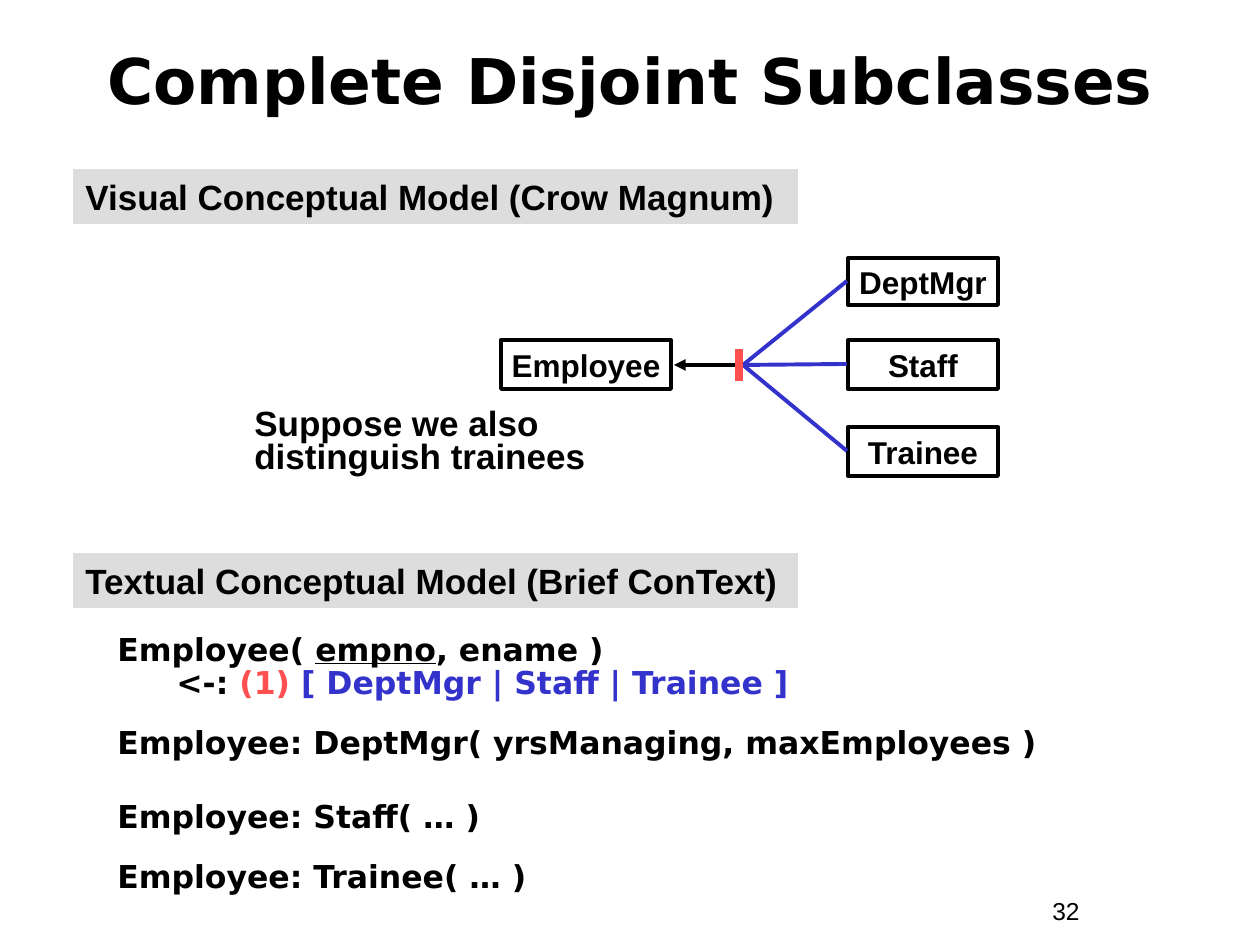
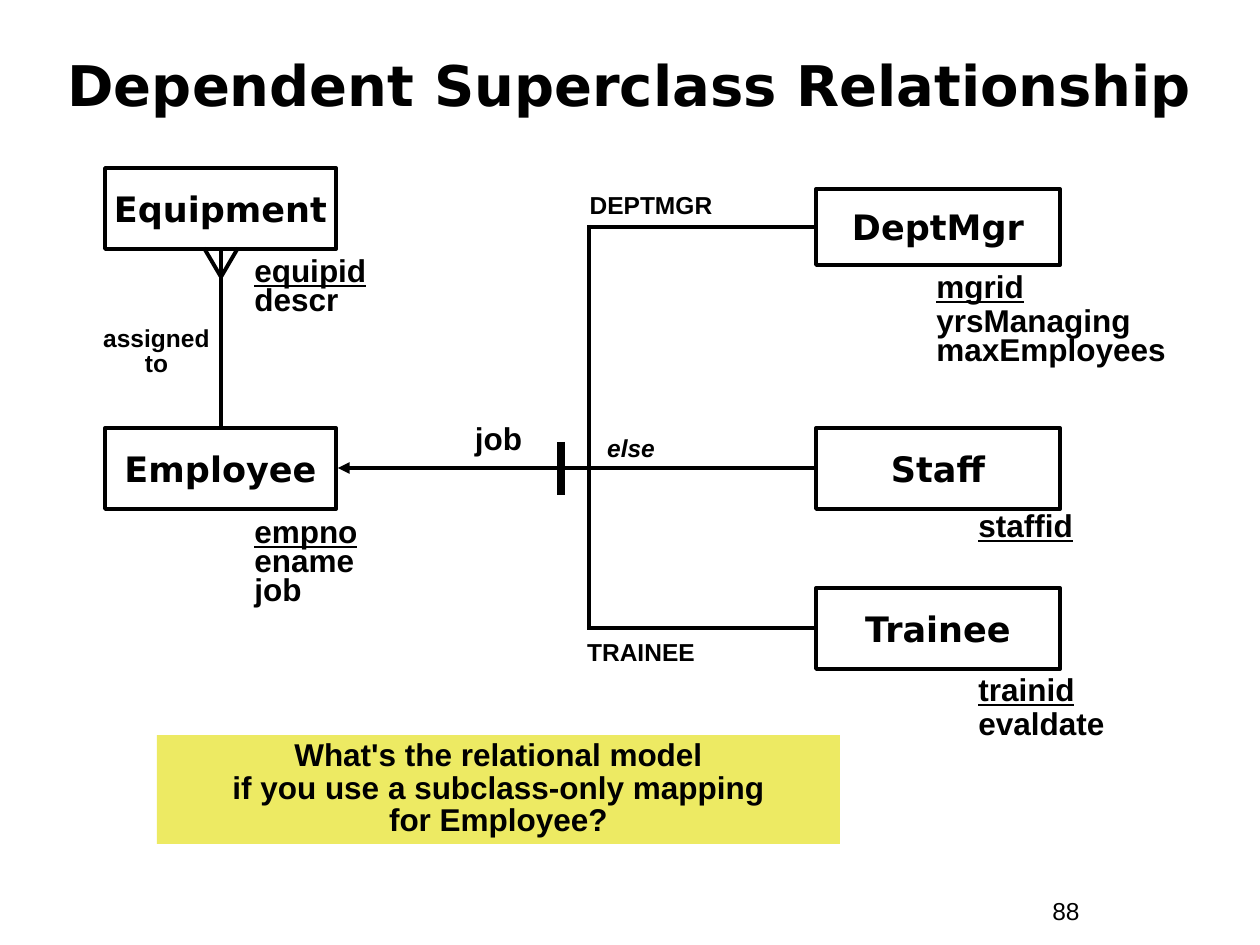
from lxml import etree
from pptx import Presentation
from pptx import util as u
from pptx.dml.color import RGBColor
from pptx.enum import shapes, text
from pptx.oxml.ns import qn

PX = 914400 / 126
BLACK = RGBColor(0x00, 0x00, 0x00)
BLUE = RGBColor(0x33, 0x33, 0xCC)
RED = RGBColor(0xFF, 0x50, 0x50)
GREY = RGBColor(0xDD, 0xDD, 0xDD)
YELLOW = RGBColor(0xED, 0xEA, 0x63)
SANS = "Arial"
WIDE = "DejaVu Sans"
LEFT, CENTER = text.PP_ALIGN.LEFT, text.PP_ALIGN.CENTER
TOP, MIDDLE = text.MSO_ANCHOR.TOP, text.MSO_ANCHOR.MIDDLE


def px(n):
    return u.Emu(round(n * PX))


def style(r, size, font=SANS, color=BLACK, bold=True):
    r.font.size = u.Pt(size)
    r.font.name = font
    r.font.bold = bold
    r.font.color.rgb = color


def write(sp, lines, size, font=SANS, align=LEFT, anchor=TOP, spacing=1.0,
          wrap=True, bold=True):
    tf = sp.text_frame
    tf.word_wrap = wrap
    tf.vertical_anchor = anchor
    tf.text = "\n".join(lines)
    for p in tf.paragraphs:
        p.alignment = align
        p.line_spacing = spacing
        for r in p.runs:
            style(r, size, font, bold=bold)
    return tf


def label(s, box, lines, size, **look):
    sp = s.shapes.add_textbox(*map(px, box))
    return write(sp, lines, size, **look)


def rect(s, box, fill=None):
    sp = s.shapes.add_shape(shapes.MSO_SHAPE.RECTANGLE, *map(px, box))
    sp.shadow.inherit = False
    if fill is None:
        sp.fill.background()
        sp.line.color.rgb = BLACK
        sp.line.width = u.Pt(2.25)
    else:
        sp.fill.solid()
        sp.fill.fore_color.rgb = fill
        sp.line.fill.background()
    return sp


def entity(s, box, name, size, font):
    write(rect(s, box), [name], size, font, CENTER, MIDDLE, wrap=False)


def band(s, y, caption):
    write(rect(s, (73, y, 725, 55), GREY), [caption], 20)


def line(s, x1, y1, x2, y2, color=BLACK, width=2.25, arrow=False):
    c = s.shapes.add_connector(shapes.MSO_CONNECTOR.STRAIGHT,
                               *map(px, (x1, y1, x2, y2)))
    c.line.color.rgb = color
    c.line.width = u.Pt(width)
    if arrow:
        etree.SubElement(c.line._get_or_add_ln(), qn("a:headEnd"), type="triangle")
    etree.SubElement(c._element.spPr, qn("a:effectLst"))


def attributes(s, box, names, spacings):
    tf = label(s, box, names, 18)
    for p, spacing in zip(tf.paragraphs, spacings):
        p.line_spacing = spacing
    tf.paragraphs[0].runs[0].font.underline = True


def new_slide(prs, title, top, size, number):
    s = prs.slides.add_slide(prs.slide_layouts[6])
    label(s, (42, top, 1176, 137 - top), [title], size, font=WIDE,
          align=CENTER, anchor=MIDDLE)
    label(s, (1040, 890, 116, 43), [number], 14, bold=False)
    return s


def textual_model(s):
    rows = [
        (0, 0, [("Employee( ", BLACK), ("empno", BLACK), (", ename )", BLACK)]),
        (0, 59, [("<-: ", BLACK), ("(1) ", RED),
                 ("[ DeptMgr | Staff | Trainee ]", BLUE)]),
        (16, 0, [("Employee: DeptMgr( yrsManaging, maxEmployees )", BLACK)]),
        (24, 0, [("Employee: Staff( … )", BLACK)]),
        (16, 0, [("Employee: Trainee( … )", BLACK)]),
    ]
    tf = label(s, (105, 630, 1008, 284), [""] * len(rows), 18, spacing=0.85)
    for p, (before, indent, parts) in zip(tf.paragraphs, rows):
        p.space_before = u.Pt(before)
        p._p.get_or_add_pPr().set("marL", str(px(indent)))
        for words, color in parts:
            r = p.add_run()
            r.text = words
            style(r, 18, WIDE, color)
    tf.paragraphs[0].runs[1].font.underline = True


def disjoint_subclasses(prs):
    s = new_slide(prs, "Complete Disjoint Subclasses", 21, 36, "32")
    entity(s, (501, 340, 170, 49), "Employee", 18, SANS)
    line(s, 674, 365, 743, 365, arrow=True)
    for name, y, h in (("DeptMgr", 258, 47), ("Staff", 340, 49), ("Trainee", 427, 49)):
        entity(s, (848, y, 150, h), name, 18, SANS)
        line(s, 743, 365, 847, y + h // 2, BLUE)
    line(s, 739, 349, 739, 381, RED, 4.5)
    textual_model(s)
    label(s, (242, 403, 388, 81), ["Suppose we also distinguish trainees"], 20,
          spacing=0.8)
    band(s, 169, "Visual Conceptual Model (Crow Magnum)")
    band(s, 553, "Textual Conceptual Model (Brief ConText)")


def dependent_superclass(prs):
    s = new_slide(prs, "Dependent Superclass Relationship", 32, 32, "88")
    for name, y in (("Equipment", 168), ("Employee", 428)):
        entity(s, (105, y, 231, 81), name, 20, WIDE)
    for name, y, h, branch in (("DeptMgr", 189, 76, 227), ("Staff", 428, 81, 468),
                               ("Trainee", 588, 81, 628)):
        entity(s, (816, y, 244, h), name, 20, WIDE)
        line(s, 589, branch, 814, branch)
    line(s, 589, 225, 589, 630)
    line(s, 338, 468, 589, 468, arrow=True)
    line(s, 561, 442, 561, 495, width=4.5)

    line(s, 221, 249, 221, 426)
    for x in (204, 238):
        line(s, 221, 277, x, 248)

    attributes(s, (242, 249, 179, 76), ["equipid", "descr"], [0.9, 0.75])
    attributes(s, (242, 510, 136, 103), ["empno", "ename", "job"], [0.9, 0.75, 0.75])
    attributes(s, (924, 265, 273, 110), ["mgrid", "yrsManaging", "maxEmployees"],
               [0.9, 0.9, 0.75])
    attributes(s, (966, 504, 189, 47), ["staffid"], [0.9])
    attributes(s, (966, 668, 189, 81), ["trainid", "evaldate"], [0.9, 0.9])

    label(s, (451, 420, 95, 43), ["job"], 18, align=CENTER, spacing=0.8)
    label(s, (83, 321, 147, 63), ["assigned", "to"], 14, align=CENTER, spacing=0.85)
    for name, x, y in (("DEPTMGR", 567, 189), ("TRAINEE", 557, 636), ("else", 547, 432)):
        tf = label(s, (x, y, 168, 37), [name], 14, align=CENTER, spacing=0.8)
        tf.paragraphs[0].runs[0].font.italic = name == "else"

    question = ["What's the relational model", "if you use a subclass-only mapping",
                "for Employee?"]
    write(rect(s, (157, 735, 683, 109), YELLOW), question, 18, align=CENTER, spacing=0.85)


def main():
    prs = Presentation()
    prs.slide_width, prs.slide_height = px(1260), px(945)
    disjoint_subclasses(prs)
    dependent_superclass(prs)
    prs.save("out.pptx")


if __name__ == "__main__":
    main()
